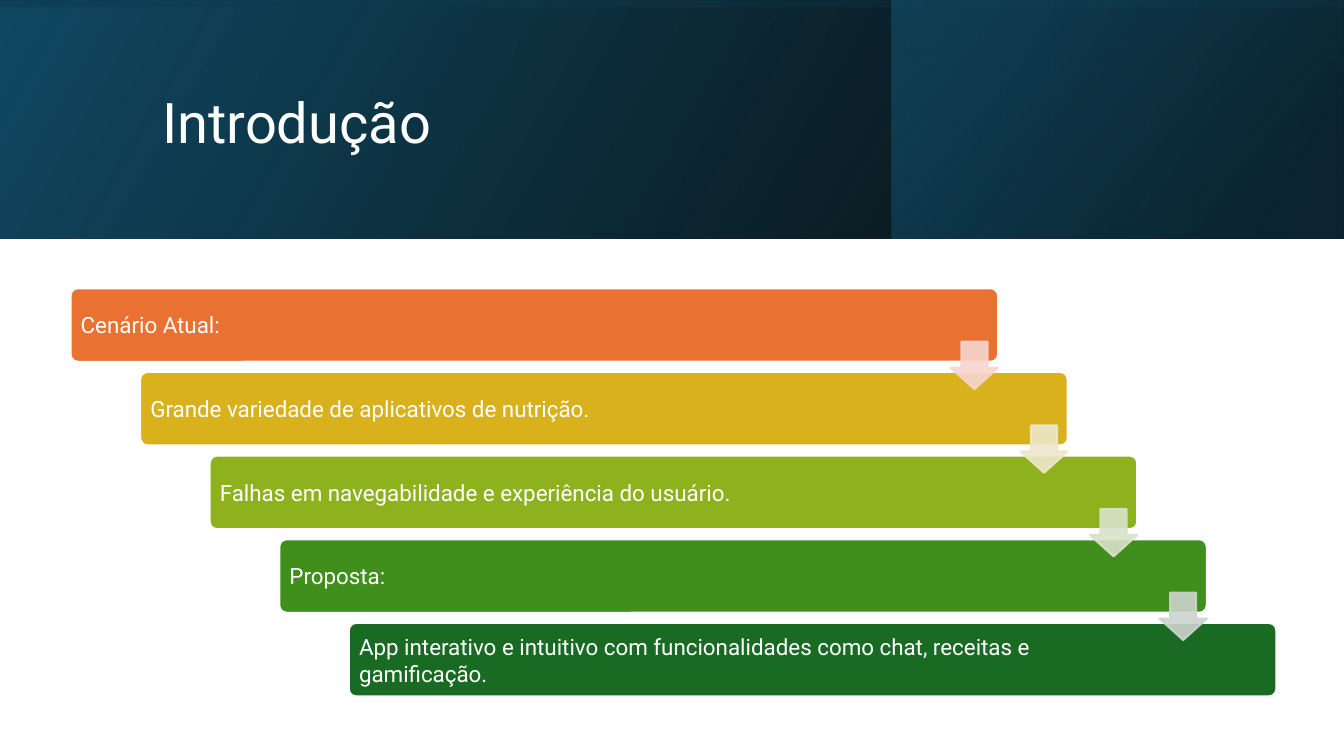
from dataclasses import dataclass
from typing import Optional

from lxml import etree
from pptx import Presentation
from pptx import util as u
from pptx.dml.color import RGBColor
from pptx.enum import shapes, text
from pptx.oxml import ns

SLIDE_WIDTH, SLIDE_HEIGHT = 13.33, 7.5
BANNER_HEIGHT = 2.37
FONT = "Roboto"

# Staircase grid: each step moves one column right and one row down
COLUMN, ROW = 0.69, 0.83
GRID_LEFT, GRID_TOP = 0.7, 2.86
BAR_WIDTH, BAR_HEIGHT = 9.2, 0.73
ARROW_SIZE, ARROW_DROP = 0.47, 0.53

COLOURS = {
    "white": "FFFFFF", "black": "000000",
    "navy": "104862", "deep": "0B3041", "teal": "156082",
    "orange": "E97132", "gold": "D8B11D", "lime": "8EB21E",
    "green": "408E1C", "forest": "196B24",
    "pale orange": "F7D5CE", "pale gold": "EEE7CB",
    "pale lime": "D8E2CA", "pale green": "CCD4CD",
}


@dataclass
class Stop:
    position: int
    colour: str
    opacity: int = 100


@dataclass
class Panel:
    left: float
    top: float
    width: float
    height: float
    angle: int
    stops: list[Stop]
    rotation: int = 0


@dataclass
class Step:
    label: str
    colour: str
    arrow: Optional[str] = None


PANELS = [
    Panel(0, 0, SLIDE_WIDTH, BANNER_HEIGHT, 330,
          [Stop(0, "black", 96), Stop(100, "navy")]),
    Panel(8.84, 0, 4.48, BANNER_HEIGHT, 320,
          [Stop(19, "deep", 68), Stop(100, "teal", 48)]),
    # Turned on its side, so it is centred on the banner
    Panel((SLIDE_WIDTH - BANNER_HEIGHT) / 2, (BANNER_HEIGHT - SLIDE_WIDTH) / 2,
          BANNER_HEIGHT, SLIDE_WIDTH, 350,
          [Stop(23, "navy", 16), Stop(99, "black", 45)], rotation=270),
]

STEPS = [
    Step("Cenário Atual:", "orange", "pale orange"),
    Step("Grande variedade de aplicativos de nutrição.", "gold", "pale gold"),
    Step("Falhas em navegabilidade e experiência do usuário.", "lime", "pale lime"),
    Step("Proposta:", "green", "pale green"),
    Step("App interativo e intuitivo com funcionalidades como chat, receitas e gamificação.",
         "forest"),
]


def rgb(name: str) -> RGBColor:
    return RGBColor.from_string(COLOURS[name])


def add_box(page, kind, left: float, top: float, width: float, height: float):
    box = page.shapes.add_shape(kind, u.Inches(left), u.Inches(top),
                                u.Inches(width), u.Inches(height))
    box.shadow.inherit = False
    return box


def paint(box, fill: str, line: str) -> None:
    box.fill.solid()
    box.fill.fore_color.rgb = rgb(fill)
    box.line.color.rgb = rgb(line)
    box.line.width = u.Pt(1.5)


def add_alpha(colour_element, opacity: int) -> None:
    alpha = etree.SubElement(colour_element, ns.qn("a:alpha"))
    alpha.set("val", str(opacity * 1000))


def style_text(para, size: int) -> None:
    for span in para.runs:
        span.font.name = FONT
        span.font.size = u.Pt(size)
        span.font.color.rgb = rgb("white")


def add_panel(page, panel: Panel) -> None:
    box = add_box(page, shapes.MSO_SHAPE.RECTANGLE,
                  panel.left, panel.top, panel.width, panel.height)
    box.rotation = panel.rotation
    box.line.fill.background()
    properties = box.element.spPr
    properties.find(ns.qn("a:xfrm")).set("flipH", "1")

    # Gradient with transparent stops
    gradient = etree.Element(ns.qn("a:gradFill"))
    stop_list = etree.SubElement(gradient, ns.qn("a:gsLst"))
    for stop in panel.stops:
        mark = etree.SubElement(stop_list, ns.qn("a:gs"), pos=str(stop.position * 1000))
        colour = etree.SubElement(mark, ns.qn("a:srgbClr"), val=COLOURS[stop.colour])
        add_alpha(colour, stop.opacity)
    etree.SubElement(gradient, ns.qn("a:lin"), ang=str(panel.angle * 60000), scaled="0")
    properties.find(ns.qn("a:prstGeom")).addnext(gradient)


def add_title(page, label: str) -> None:
    title = page.shapes.title
    title.left, title.top = u.Inches(1.51), u.Inches(0.38)
    title.width, title.height = u.Inches(10.63), u.Inches(1.72)
    frame = title.text_frame
    frame.text = label
    frame.vertical_anchor = text.MSO_ANCHOR.MIDDLE
    para = frame.paragraphs[0]
    para.alignment = text.PP_ALIGN.LEFT
    para.line_spacing = 0.9
    style_text(para, 40)
    # Bring the title in front of the banner
    page.shapes._spTree.append(title.element)


def add_bar(page, index: int, step: Step) -> None:
    bar = add_box(page, shapes.MSO_SHAPE.ROUNDED_RECTANGLE,
                  GRID_LEFT + index * COLUMN, GRID_TOP + index * ROW,
                  BAR_WIDTH, BAR_HEIGHT)
    bar.adjustments[0] = 0.1
    paint(bar, step.colour, "white")
    frame = bar.text_frame
    frame.text = step.label
    frame.word_wrap = True
    frame.vertical_anchor = text.MSO_ANCHOR.MIDDLE
    frame.margin_left, frame.margin_right = u.Inches(0.08), u.Inches(1.25)
    frame.margin_top = frame.margin_bottom = u.Inches(0.07)
    para = frame.paragraphs[0]
    para.alignment = text.PP_ALIGN.LEFT
    para.line_spacing = 0.9 if index == len(STEPS) - 1 else 1.0
    para.line_spacing = 1.0
    style_text(para, 16)


def add_arrow(page, index: int, colour: str) -> None:
    arrow = add_box(page, shapes.MSO_SHAPE.DOWN_ARROW,
                    GRID_LEFT + index * COLUMN + BAR_WIDTH - ARROW_SIZE,
                    GRID_TOP + index * ROW + ARROW_DROP, ARROW_SIZE, ARROW_SIZE)
    arrow.adjustments[0], arrow.adjustments[1] = 0.55, 0.45
    paint(arrow, colour, colour)
    for colour_element in arrow.element.spPr.iter(ns.qn("a:srgbClr")):
        add_alpha(colour_element, 90)


def main() -> None:
    deck = Presentation()
    deck.slide_width, deck.slide_height = u.Inches(SLIDE_WIDTH), u.Inches(SLIDE_HEIGHT)
    page = deck.slides.add_slide(deck.slide_layouts[5])

    # Banner and title
    for panel in PANELS:
        add_panel(page, panel)
    add_title(page, "Introdução")

    # Staircase, with the arrows in front of the bars
    for index, step in enumerate(STEPS):
        add_bar(page, index, step)
    for index, step in enumerate(STEPS):
        if step.arrow:
            add_arrow(page, index, step.arrow)

    deck.save("out.pptx")


if __name__ == "__main__":
    main()
